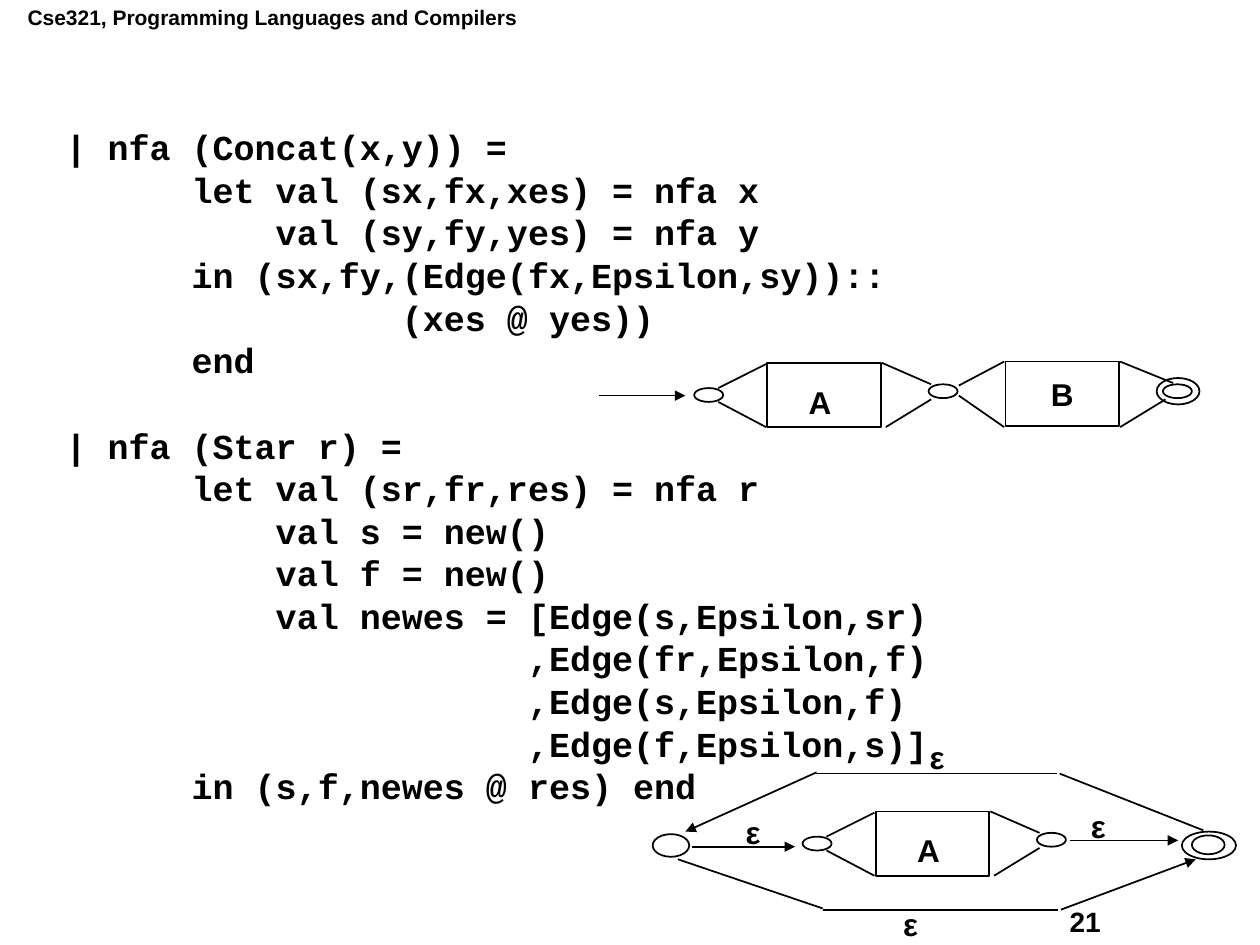
"""Build the slide showing NFA construction code with its two automaton diagrams."""
from dataclasses import dataclass

from lxml.etree import SubElement
from pptx import Presentation
from pptx.dml.color import RGBColor
from pptx.enum.shapes import MSO_CONNECTOR as Connector, MSO_SHAPE as Shape
from pptx.enum.text import MSO_ANCHOR as Anchor, MSO_AUTO_SIZE as AutoSize, PP_ALIGN as Align
from pptx.oxml.ns import qn
from pptx.util import Pt

PX = 9144


@dataclass(frozen=True)
class Theme:
    ink: RGBColor = RGBColor(0, 0, 0)
    paper: RGBColor = RGBColor(255, 255, 255)
    text_font: str = "Arial"
    code_font: str = "Courier New"
    header: Pt = Pt(12)
    number: Pt = Pt(16)
    label: Pt = Pt(18)
    code: Pt = Pt(20)
    line: Pt = Pt(1)
    code_gap: Pt = Pt(7.5)
    function_gap: Pt = Pt(32)


theme = Theme()


def scaled(*lengths):
    return [length * PX for length in lengths]


def format_font(paragraph, name, size):
    for key, value in {"name": name, "size": size, "bold": True}.items():
        setattr(paragraph.font, key, value)
    paragraph.font.color.rgb = theme.ink


presentation = Presentation()
presentation.slide_width, presentation.slide_height = scaled(1000, 750)
slide = presentation.slides.add_slide(presentation.slide_layouts[1])
title = slide.shapes.title
title.element.getparent().remove(title.element)

code_lines = """\
| nfa (Concat(x,y)) =
      let val (sx,fx,xes) = nfa x
          val (sy,fy,yes) = nfa y
      in (sx,fy,(Edge(fx,Epsilon,sy))::
                (xes @ yes))
      end
| nfa (Star r) =
      let val (sr,fr,res) = nfa r
          val s = new()
          val f = new()
          val newes = [Edge(s,Epsilon,sr)
                      ,Edge(fr,Epsilon,f)
                      ,Edge(s,Epsilon,f)
                      ,Edge(f,Epsilon,s)]
      in (s,f,newes @ res) end""".splitlines()

code_box = slide.placeholders[1]
code_box.left, code_box.top, code_box.width, code_box.height = scaled(42, 104, 892, 596)
code_frame = code_box.text_frame
code_frame.auto_size = AutoSize.NONE
for index, code_line in enumerate(code_lines):
    paragraph = code_frame.paragraphs[0] if index == 0 else code_frame.add_paragraph()
    paragraph.text = code_line
    properties = paragraph._p.get_or_add_pPr()
    properties.set("marL", str(31 * PX))
    properties.set("indent", str(-31 * PX))
    SubElement(properties, qn("a:buNone"))
    gap = theme.function_gap if code_line.startswith("|") else theme.code_gap
    spacing = {"line_spacing": 0.7, "space_before": gap if index else Pt(0), "space_after": Pt(0)}
    for key, value in spacing.items():
        setattr(paragraph, key, value)
    format_font(paragraph, theme.code_font, theme.code)

boxes = [(Shape.RECTANGLE, 798, 287, 90, 51, "B")]
states = [
    (518, 662, 29, 18),
    (938, 660, 43, 22),
    (946, 663, 26, 15),
    (918, 300, 34, 21),
    (923, 305, 23, 11),
]
lines = [
    (955, 659, 841, 614),
    (839, 614, 648, 614),
    (538, 682, 653, 721),
    (653, 722, 840, 722),
    (797, 287, 761, 306),
    (797, 339, 761, 314),
    (889, 287, 931, 304),
    (889, 339, 925, 317),
]
arrows = [
    (549, 672, 631, 672),
    (648, 613, 544, 660),
    (849, 667, 935, 667),
    (842, 722, 949, 682),
    (475, 314, 544, 314),
]
labels = [
    ("Cse321, Programming Languages and Compilers", 12, -1, 409, 30, theme.header),
    ("21", 839, 713, 127, 36, theme.number),
]
labels += [
    ("ε", x, y, 32, 40, theme.label)
    for x, y in ((728, 581), (707, 713), (582, 640), (856, 636))
]

for x, y in ((695, 644), (609, 288)):
    boxes.append((Shape.RECTANGLE, x, y, 90, 51, ""))
    states += [(x - 58, y + 20, 23, 11), (x + 128, y + 17, 23, 11)]
    lines += [
        (x + 91, y, x + 130, y + 17),
        (x + 94, y + 51, x + 130, y + 29),
        (x - 39, y + 20, x - 1, y + 1),
        (x - 39, y + 31, x - 1, y + 51),
    ]
    labels.append(("A", x + 23, y + 11, 38, 40, theme.label))

boxes += [(Shape.OVAL, *state, "") for state in states]
for kind, x, y, width, height, text in boxes:
    shape = slide.shapes.add_shape(kind, *scaled(x, y, width, height))
    shape.shadow.inherit = False
    shape.fill.solid()
    shape.fill.fore_color.rgb = theme.paper
    shape.line.color.rgb = theme.ink
    shape.line.width = theme.line
    if text:
        frame = shape.text_frame
        frame.word_wrap = False
        frame.vertical_anchor = Anchor.MIDDLE
        paragraph = frame.paragraphs[0]
        paragraph.text = text
        paragraph.alignment = Align.CENTER
        format_font(paragraph, theme.text_font, theme.label)

for ends in lines + arrows:
    connector = slide.shapes.add_connector(Connector.STRAIGHT, *scaled(*ends))
    connector.line.color.rgb = theme.ink
    connector.line.width = theme.line
    if ends in arrows:
        SubElement(connector.line._get_or_add_ln(), qn("a:tailEnd"), type="triangle")
    SubElement(connector._element.spPr, qn("a:effectLst"))

for text, x, y, width, height, size in labels:
    frame = slide.shapes.add_textbox(*scaled(x, y, width, height)).text_frame
    frame.word_wrap = False
    paragraph = frame.paragraphs[0]
    paragraph.text = text
    format_font(paragraph, theme.text_font, size)

presentation.save("out.pptx")
